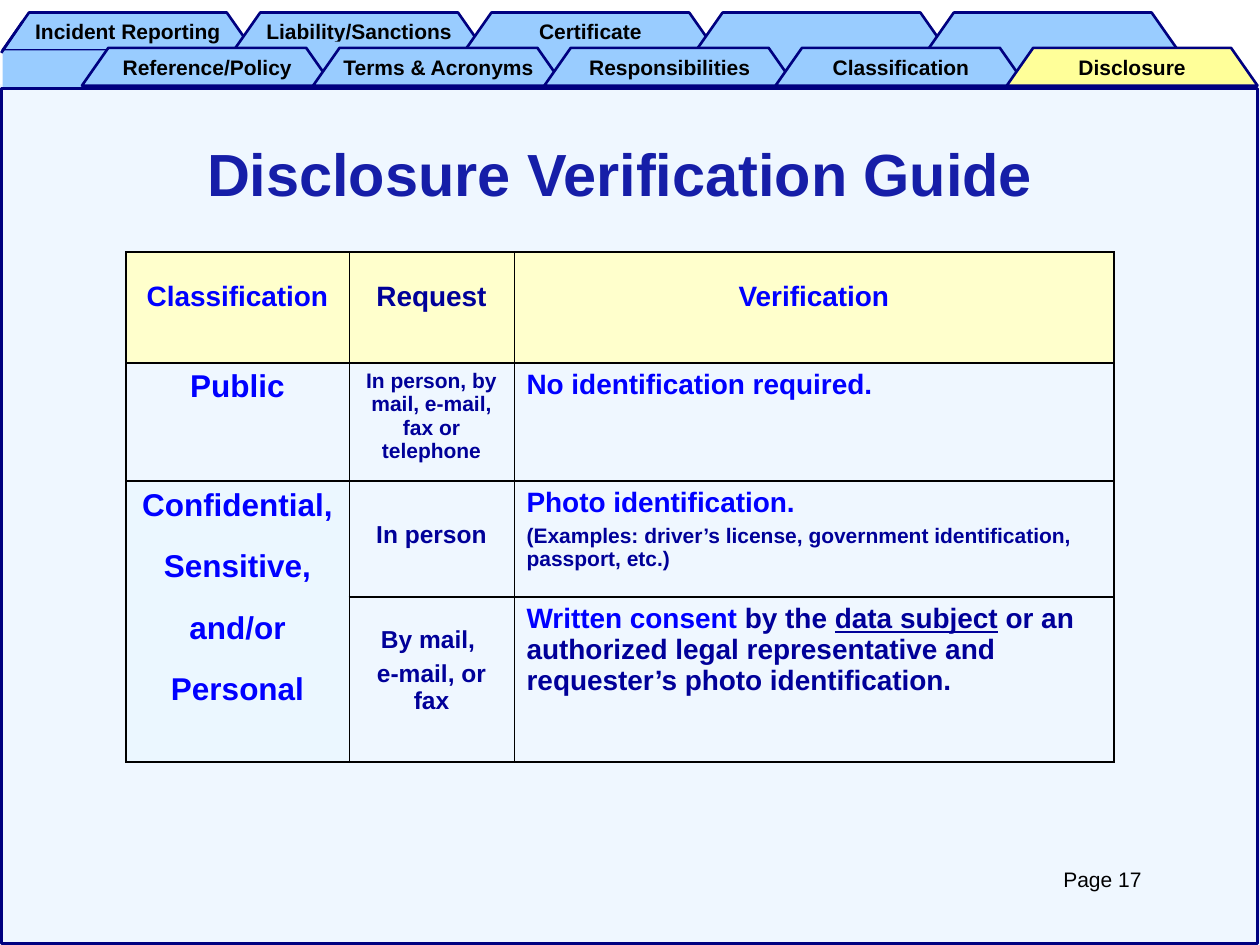
from lxml import etree
from pptx import Presentation
from pptx.dml.color import RGBColor
from pptx.enum.shapes import MSO_CONNECTOR, MSO_SHAPE
from pptx.enum.text import MSO_ANCHOR, MSO_AUTO_SIZE, PP_ALIGN
from pptx.oxml.ns import qn
from pptx.util import Inches, Pt

RECTANGLE = MSO_SHAPE.RECTANGLE
STRAIGHT = MSO_CONNECTOR.STRAIGHT
TOP, MIDDLE = MSO_ANCHOR.TOP, MSO_ANCHOR.MIDDLE
LEFT, CENTER = PP_ALIGN.LEFT, PP_ALIGN.CENTER
NO_FIT, GROW = MSO_AUTO_SIZE.NONE, MSO_AUTO_SIZE.SHAPE_TO_FIT_TEXT

BLACK = RGBColor(0x00, 0x00, 0x00)
NAVY = RGBColor(0x00, 0x00, 0x80)
DARK_BLUE = RGBColor(0x00, 0x00, 0x99)
BLUE = RGBColor(0x00, 0x00, 0xFF)
SKY = RGBColor(0x99, 0xCC, 0xFF)
YELLOW = RGBColor(0xFF, 0xFF, 0x99)
CREAM = RGBColor(0xFF, 0xFF, 0xCC)
ICE = RGBColor(0xEB, 0xF7, 0xFF)

TAB_WIDTH, TAB_HEIGHT, TAB_SLANT, TAB_STEP = 1.99, 0.3, 0.21, 1.835
BACK_TABS = ["Incident Reporting", "Liability/Sanctions", "Certificate", "", ""]
FRONT_TABS = ["Reference/Policy", "Terms & Acronyms", "Responsibilities",
              "Classification", "Disclosure"]
# Patches that join each back tab to the row in front of it
PATCHES = [(0.02, 0.4, 1.65, 0.3), (2.17, 0.33, 0.83, 0.25), (4, 0.38, 0.83, 0.25),
           (5.9, 0.36, 0.75, 0.25), (7.75, 0.38, 0.75, 0.25)]

COLUMNS = [1.77, 1.31, 4.76]
ROWS = [0.88, 0.94, 0.92, 1.31]
EXAMPLES = "(Examples: driver’s license, government identification, passport, etc.)"
REPRESENTATIVE = " or an authorized legal representative and requester’s photo identification."


def write(para, text, size=12, color=BLACK, bold=True, underline=False):
    """Add one formatted span to a paragraph."""
    span = para.add_run()
    span.text = text
    font = span.font
    font.name, font.size, font.bold = "Arial", Pt(size), bold
    font.color.rgb = color
    if underline:
        font.underline = True


class SlideBuilder:
    def __init__(self, slide, font_color=BLACK, line_color=NAVY, line_width=1.5):
        self.slide = slide
        self.font_color = font_color
        self.line_color = line_color
        self.line_width = Pt(line_width)

    def paint(self, shape, fill=None, outlined=False):
        shape.shadow.inherit = False
        if fill is None:
            shape.fill.background()
        else:
            shape.fill.solid()
            shape.fill.fore_color.rgb = fill
        if outlined:
            shape.line.color.rgb = self.line_color
            shape.line.width = self.line_width
        else:
            shape.line.fill.background()

    def rectangle(self, bounds, fill=None, outlined=False, opacity=None):
        shape = self.slide.shapes.add_shape(RECTANGLE, *map(Inches, bounds))
        self.paint(shape, fill, outlined)
        if opacity:
            color = shape.fill._xPr.find(qn("a:solidFill"))[0]
            etree.SubElement(color, qn("a:alpha")).set("val", str(opacity * 1000))

    def line(self, start, end):
        line = self.slide.shapes.add_connector(STRAIGHT, *map(Inches, start + end))
        line.line.color.rgb = self.line_color
        line.line.width = self.line_width
        etree.SubElement(line._element.spPr, qn("a:effectLst"))

    def tab(self, left, top, label, fill):
        right, bottom = left + TAB_WIDTH, top + TAB_HEIGHT
        corners = [(right, bottom), (right - TAB_SLANT, top), (left + TAB_SLANT, top)]
        outline = self.slide.shapes.build_freeform(Inches(left), Inches(bottom))
        outline.add_line_segments([(Inches(x), Inches(y)) for x, y in corners])
        shape = outline.convert_to_shape()
        self.paint(shape, fill, outlined=True)
        if label:
            frame = shape.text_frame
            frame.word_wrap = False
            frame.vertical_anchor = MIDDLE
            para = frame.paragraphs[0]
            para.alignment = CENTER
            write(para, label, color=self.font_color)

    def title(self, text, bounds):
        box = self.slide.shapes.title
        box.left, box.top, box.width, box.height = map(Inches, bounds)
        frame = box.text_frame
        frame.auto_size = NO_FIT
        frame.vertical_anchor = TOP
        frame.margin_top = Inches(0.09)
        para = frame.paragraphs[0]
        para.alignment = CENTER
        write(para, text, size=34, color=DARK_BLUE)

    def label(self, text, bounds):
        box = self.slide.shapes.add_textbox(*map(Inches, bounds))
        frame = box.text_frame
        frame.word_wrap = True
        frame.auto_size = GROW
        para = frame.paragraphs[0]
        para.alignment = CENTER
        write(para, text, color=self.font_color, bold=False)

    def table(self, left, top):
        frame = self.slide.shapes.add_table(
            len(ROWS), len(COLUMNS), Inches(left), Inches(top),
            Inches(sum(COLUMNS)), Inches(sum(ROWS)))
        table = frame.table
        table.first_row = table.horz_banding = False
        for column, width in zip(table.columns, COLUMNS):
            column.width = Inches(width)
        for row, height in zip(table.rows, ROWS):
            row.height = Inches(height)
        for row in range(len(ROWS)):
            for column in range(len(COLUMNS)):
                cell = table.cell(row, column)
                self.borders(cell, column)
                cell.fill.background()
        return table

    def borders(self, cell, column):
        widths = {"lnL": 1.08 if column == 0 else 0.45,
                  "lnR": 1.08 if column == len(COLUMNS) - 1 else 0.45,
                  "lnT": 1.08, "lnB": 1.08}
        properties = cell._tc.get_or_add_tcPr()
        for side, width in widths.items():
            edge = etree.SubElement(properties, qn("a:" + side), w=str(Pt(width)))
            fill = etree.SubElement(edge, qn("a:solidFill"))
            etree.SubElement(fill, qn("a:srgbClr"), val=str(BLACK))

    def cell(self, cell, paragraphs, align=CENTER, fill=None, top=0.05, gap=0):
        """Fill a cell; each paragraph is a list of (text, format) spans."""
        cell.margin_top = Inches(top)
        if fill is not None:
            cell.fill.solid()
            cell.fill.fore_color.rgb = fill
        frame = cell.text_frame
        for index, spans in enumerate(paragraphs):
            para = frame.add_paragraph() if index else frame.paragraphs[0]
            para.alignment = align
            if index:
                para.space_before = Pt(gap)
            for text, style in spans:
                write(para, text, **style)


def main():
    deck = Presentation()
    deck.slide_width, deck.slide_height = Inches(10), Inches(7.5)
    page = SlideBuilder(deck.slides.add_slide(deck.slide_layouts[5]))

    # Back row of tabs
    for index, (label, patch) in enumerate(zip(BACK_TABS, PATCHES)):
        page.tab(0.02 + index * TAB_STEP, 0.1, label, SKY)
        page.rectangle(patch, SKY)
    page.line((0.01, 0.42), (0.18, 0.17))

    # Panel, front row of tabs and frame
    page.rectangle((0, 0.67, 10, 6.83), SKY, opacity=15)
    page.rectangle((0.01, 0.7, 9.97, 6.79), outlined=True)
    for index, label in enumerate(FRONT_TABS):
        fill = YELLOW if label == "Disclosure" else SKY
        page.tab(0.65 + index * TAB_STEP, 0.38, label, fill)

    page.title("Disclosure Verification Guide", (0.42, 1, 9, 1.25))

    # Verification table
    large = {"size": 18, "color": BLUE}
    key = {"size": 16, "color": BLUE}
    body = {"size": 16, "color": DARK_BLUE}
    request = {"size": 14, "color": DARK_BLUE}
    small = {"size": 12, "color": DARK_BLUE}
    table = page.table(1, 2)
    headings = [("Classification", key), ("Request", body), ("Verification", key)]
    for column, heading in enumerate(headings):
        page.cell(table.cell(0, column), [[heading]], fill=CREAM, top=0.23)

    page.cell(table.cell(1, 0), [[("Public", large)]])
    page.cell(table.cell(2, 0), [[(word, large)] for word in (
        "Confidential,", "Sensitive,", "and/or", "Personal")], fill=ICE, gap=15)
    table.cell(2, 0).merge(table.cell(3, 0))

    page.cell(table.cell(1, 1), [[("In person, by mail, e-mail, fax or telephone", small)]])
    page.cell(table.cell(2, 1), [[("In person", request)]], top=0.32)
    page.cell(table.cell(3, 1), [[("By mail, ", request)], [("e-mail, or fax", request)]],
              top=0.23, gap=3.5)

    page.cell(table.cell(1, 2), [[("No identification required.", key)]], LEFT)
    page.cell(table.cell(2, 2), [[("Photo identification.", key)], [(EXAMPLES, small)]],
              LEFT, gap=3)
    page.cell(table.cell(3, 2), [[
        ("Written consent", key), (" by the ", body),
        ("data subject", {**body, "underline": True}), (REPRESENTATIVE, body)]], LEFT)

    page.label("Page 17", (7.75, 6.83, 2, 0.3))
    deck.save("out.pptx")


if __name__ == "__main__":
    main()
